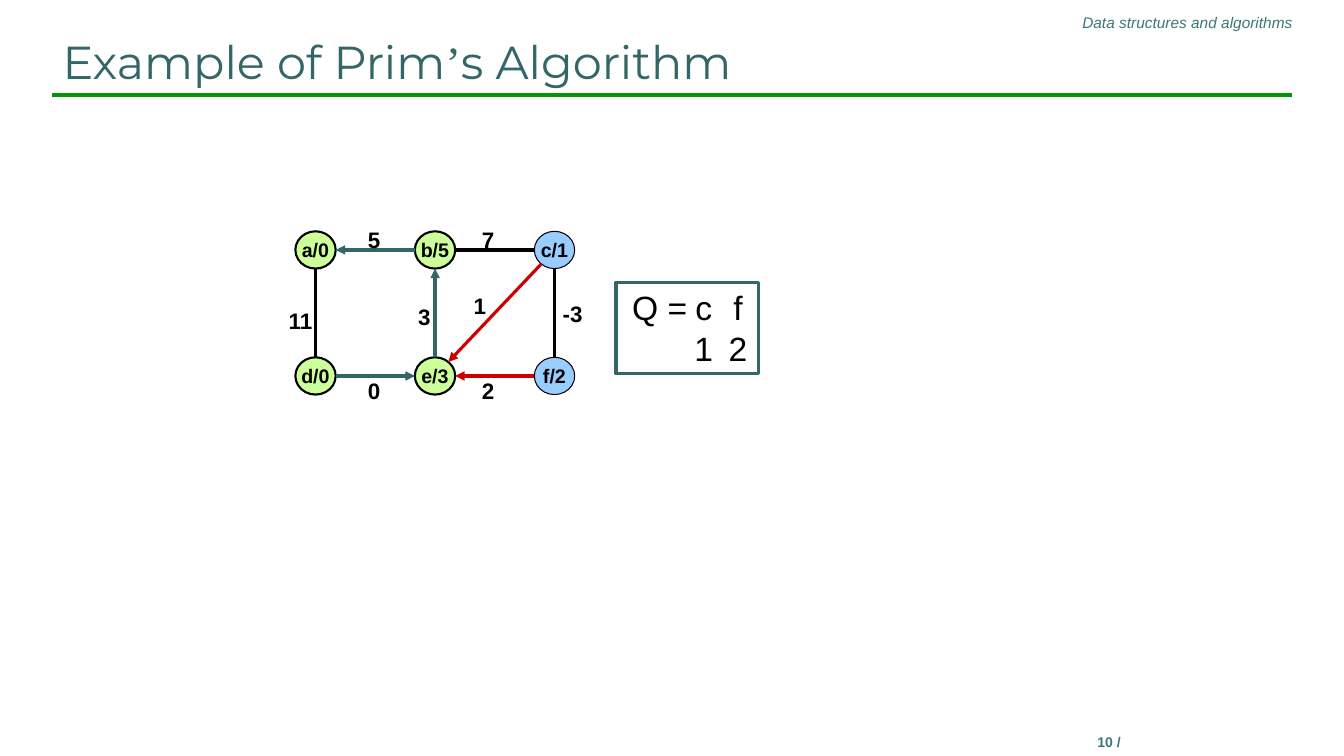
import math

import pptx
import pptx.dml.color
import pptx.enum.shapes
import pptx.enum.text
import pptx.oxml.ns
import pptx.util
from dataclasses import dataclass
from lxml import etree

Inches = pptx.util.Inches
Pt = pptx.util.Pt
ALIGN = pptx.enum.text.PP_ALIGN
ANCHOR = pptx.enum.text.MSO_ANCHOR
SHAPE = pptx.enum.shapes.MSO_SHAPE
qn = pptx.oxml.ns.qn


@dataclass(frozen=True)
class Theme:
    font: str = "Arial"
    title_font: str = "Montserrat"
    quote_font: str = "Times New Roman"
    title: str = "336666"
    caption: str = "3A7877"
    rule: str = "009900"
    ink: str = "000000"
    tree: str = "336666"
    candidate: str = "CC0000"
    done: str = "CCFF99"
    queued: str = "99CCFF"
    title_size: float = 33
    queue_size: float = 24
    weight_size: float = 16
    node_size: float = 14
    header_size: float = 11
    footer_size: float = 10


def rgb(value):
    return pptx.dml.color.RGBColor.from_string(value)


class Deck:
    RX, RY = 0.2, 0.185  # node radii

    def __init__(self, theme):
        self.theme = theme
        self.prs = pptx.Presentation()
        self.prs.slide_width = Inches(13.33)
        self.prs.slide_height = Inches(7.5)
        self.s = self.prs.slides.add_slide(self.prs.slide_layouts[5])

    def style(self, p, size, color, align=ALIGN.CENTER, bold=False, italic=False):
        p.alignment = align
        p.font.name = self.theme.font
        p.font.size = Pt(size)
        p.font.color.rgb = rgb(color)
        p.font.bold = bold
        p.font.italic = italic

    def title(self, runs, left, top, width, height):
        sp = self.s.shapes.title
        sp.left, sp.top, sp.width, sp.height = map(Inches, (left, top, width, height))
        tf = sp.text_frame
        tf.vertical_anchor = ANCHOR.BOTTOM
        tf.auto_size = pptx.enum.text.MSO_AUTO_SIZE.NONE
        p = tf.paragraphs[0]
        self.style(p, self.theme.title_size, self.theme.title, ALIGN.LEFT)
        for text, font in runs:
            r = p.add_run()
            r.text = text
            r.font.name = font

    def text(self, text, left, top, width, height, size, color, wrap=True, **look):
        sp = self.s.shapes.add_textbox(*map(Inches, (left, top, width, height)))
        tf = sp.text_frame
        tf.word_wrap = wrap
        tf.text = text
        self.style(tf.paragraphs[0], size, color, **look)

    def line(self, start, end, color, width, arrow=False):
        sp = self.s.shapes.add_connector(
            pptx.enum.shapes.MSO_CONNECTOR.STRAIGHT, *map(Inches, (*start, *end)))
        sp.line.color.rgb = rgb(color)
        sp.line.width = Pt(width)
        if arrow:
            etree.SubElement(sp.line._get_or_add_ln(), qn("a:tailEnd"), type="triangle")
        etree.SubElement(sp._element.spPr, qn("a:effectLst"))

    def edge(self, start, end, color, arrow):
        """Join two node centres, stopping at the outlines of the nodes."""
        dx, dy = end[0] - start[0], end[1] - start[1]
        t = 1 / math.hypot(dx / self.RX, dy / self.RY)
        self.line((start[0] + t * dx, start[1] + t * dy),
                  (end[0] - t * dx, end[1] - t * dy), color, 2.25, arrow)

    def node(self, text, center, fill, outline):
        x, y = center
        sp = self.s.shapes.add_shape(SHAPE.OVAL, *map(
            Inches, (x - self.RX, y - self.RY, 2 * self.RX, 2 * self.RY)))
        sp.shadow.inherit = False
        sp.fill.solid()
        sp.fill.fore_color.rgb = rgb(fill)
        sp.line.color.rgb = rgb(self.theme.ink)
        sp.line.width = Pt(outline)
        tf = sp.text_frame
        tf.word_wrap = False
        tf.vertical_anchor = ANCHOR.MIDDLE
        tf.text = text
        self.style(tf.paragraphs[0], self.theme.node_size, self.theme.ink, bold=True)

    def weight(self, text, x, y):
        self.text(text, x - 0.25, y - 0.18, 0.5, 0.37, self.theme.weight_size,
                  self.theme.ink, wrap=False, bold=True)

    def queue(self, lines, stops, left, top, width, height):
        """Framed rows of text whose columns are centred on tab stops."""
        sp = self.s.shapes.add_shape(
            SHAPE.RECTANGLE, *map(Inches, (left, top, width, height)))
        sp.shadow.inherit = False
        sp.fill.background()
        sp.line.color.rgb = rgb(self.theme.tree)
        sp.line.width = Pt(2.25)
        tf = sp.text_frame
        tf.word_wrap = True
        tf.vertical_anchor = ANCHOR.TOP
        tf.margin_left = Inches(0.16)
        tf.margin_right = 0
        tf.text = "\n".join(lines)
        for p in tf.paragraphs:
            tabs = etree.SubElement(p._p.get_or_add_pPr(), qn("a:tabLst"))
            for stop in stops:
                etree.SubElement(tabs, qn("a:tab"), pos=str(Inches(stop)), algn="ctr")
            self.style(p, self.theme.queue_size, self.theme.ink, ALIGN.LEFT)


def main():
    theme = Theme()
    deck = Deck(theme)
    deck.line((0.52, 0.94), (12.81, 0.94), theme.rule, 3)
    deck.text("Data structures and algorithms", 5.63, 0.08, 7.29, 0.29,
              theme.header_size, theme.caption, align=ALIGN.RIGHT, italic=True)
    deck.text("10 /", 9.5, 7.23, 3, 0.5, theme.footer_size, theme.caption, bold=True)
    deck.title([("Example of Prim", theme.title_font), ("’", theme.quote_font),
                ("s Algorithm", theme.title_font)], 0.52, 0.23, 12.29, 0.7)

    keys = {"a": 0, "b": 5, "c": 1, "d": 0, "e": 3, "f": 2}
    centers = {name: (3.13 + 1.185 * (i % 3), 2.48 + 1.25 * (i // 3))
               for i, name in enumerate(keys)}
    for name, key in keys.items():
        queued = name in "cf"
        deck.node(f"{name}/{key}", centers[name],
                  theme.queued if queued else theme.done, 0.75 if queued else 1.5)

    for pairs, color, arrow in (
            (("ad", "bc", "cf"), theme.ink, False),
            (("ba", "eb", "de"), theme.tree, True),
            (("fe", "ce"), theme.candidate, True)):
        for start, end in pairs:
            deck.edge(centers[start], centers[end], color, arrow)

    for label, x, y in (
            ("5", 3.71, 2.37), ("7", 4.84, 2.37), ("11", 2.98, 3.18),
            ("3", 4.21, 3.14), ("1", 4.76, 3.03), ("-3", 5.68, 3.11),
            ("0", 3.71, 3.87), ("2", 4.84, 3.87)):
        deck.weight(label, x, y)

    deck.queue(["Q =\tc\tf", "\t1\t2"], (0.71, 1.05), 6.11, 2.8, 1.41, 0.91)
    deck.prs.save("out.pptx")


if __name__ == "__main__":
    main()
